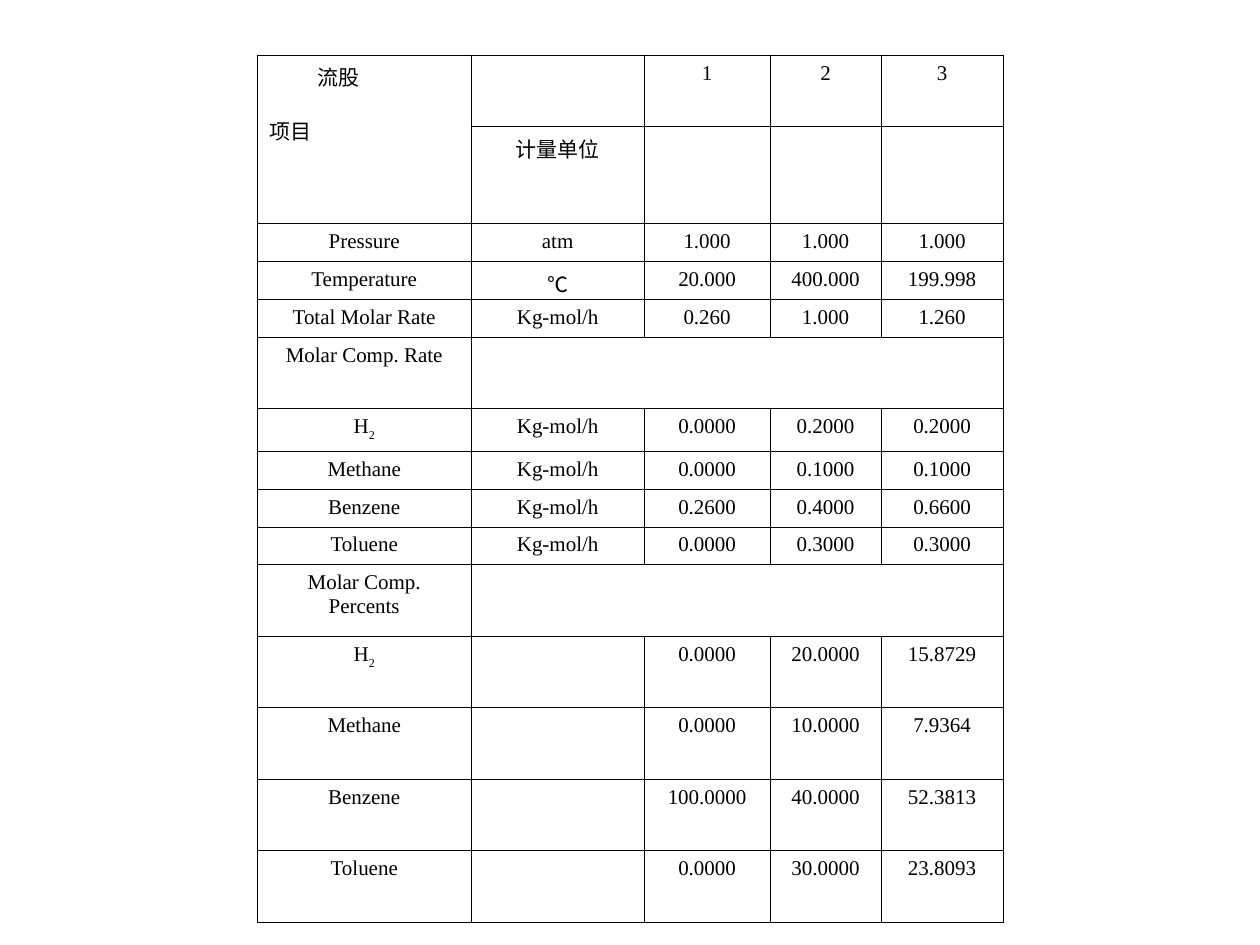
import dataclasses
import typing

import lxml.etree
import pptx
import pptx.dml.color
import pptx.enum.text
import pptx.oxml.ns
import pptx.util

Pt = pptx.util.Pt
BLACK = pptx.dml.color.RGBColor(0x00, 0x00, 0x00)
LATIN = "Times New Roman"
ASIAN = "Noto Sans CJK SC"
ALIGN = pptx.enum.text.PP_ALIGN

# Table grid, in points
LEFT, TOP = 147, 31.5
WIDTHS = (122.3, 98.8, 72, 63.4, 69.8)
TALL, SHORT = 40.85, 21.6
LINE = 0.45


@dataclasses.dataclass(frozen=True)
class Row:
    height: float
    cells: typing.Tuple[str, ...]


# A "_" marks the digit after it as a subscript
RATE = "Kg-mol/h"
ROWS = (
    Row(TALL, ("", "", "1", "2", "3")),
    Row(50.3, ("", "计量单位", "", "", "")),
    Row(SHORT, ("Pressure", "atm", "1.000", "1.000", "1.000")),
    Row(SHORT, ("Temperature", "℃", "20.000", "400.000", "199.998")),
    Row(SHORT, ("Total Molar Rate", RATE, "0.260", "1.000", "1.260")),
    Row(TALL, ("Molar Comp. Rate",)),
    Row(24.4, ("H_2", RATE, "0.0000", "0.2000", "0.2000")),
    Row(SHORT, ("Methane", RATE, "0.0000", "0.1000", "0.1000")),
    Row(SHORT, ("Benzene", RATE, "0.2600", "0.4000", "0.6600")),
    Row(SHORT, ("Toluene", RATE, "0.0000", "0.3000", "0.3000")),
    Row(TALL, ("Molar Comp. Percents",)),
    Row(TALL, ("H_2", "", "0.0000", "20.0000", "15.8729")),
    Row(TALL, ("Methane", "", "0.0000", "10.0000", "7.9364")),
    Row(TALL, ("Benzene", "", "100.0000", "40.0000", "52.3813")),
    Row(TALL, ("Toluene", "", "0.0000", "30.0000", "23.8093")),
)

FONT = {"name": LATIN, "size": Pt(12), "bold": False}
INSETS = {"margin_left": Pt(7.2), "margin_right": Pt(7.2),
          "margin_top": Pt(3.6), "margin_bottom": Pt(3.6)}
PLAIN = {"first_row": False, "horz_banding": False}


def apply(target: typing.Any, values: typing.Dict[str, typing.Any]) -> None:
    for name, value in values.items():
        setattr(target, name, value)


def add_node(parent: typing.Any, tag: str, **values: str) -> typing.Any:
    return lxml.etree.SubElement(parent, pptx.oxml.ns.qn(tag), values)


def add_run(para: typing.Any, text: str, sub: bool = False) -> None:
    run = para.add_run()
    run.text = text
    apply(run.font, FONT)
    run.font.color.rgb = BLACK
    if text == "℃":
        run.font.name = ASIAN
    props = run.font._element
    add_node(props, "a:ea", typeface=ASIAN)
    if sub:
        props.set("baseline", "-30000")


def write(para: typing.Any, text: str) -> None:
    para.alignment = ALIGN.CENTER
    base, _, sub = text.partition("_")
    add_run(para, base)
    if sub:
        add_run(para, sub, sub=True)


def frame(cell: typing.Any) -> None:
    apply(cell, INSETS)
    props = cell._tc.get_or_add_tcPr()
    for side in ("a:lnL", "a:lnR", "a:lnT", "a:lnB"):
        line = add_node(props, side, w=str(int(Pt(LINE))))
        fill = add_node(line, "a:solidFill")
        add_node(fill, "a:srgbClr", val=str(BLACK))
    cell.fill.background()


def write_head(cell: typing.Any) -> None:
    first = cell.text_frame.paragraphs[0]
    first._p.get_or_add_pPr().set("marL", str(int(Pt(27))))
    add_run(first, "流股")
    second = cell.text_frame.add_paragraph()
    second.space_before = Pt(13.5)
    add_run(second, "项目")


def draw_table(slide: typing.Any) -> None:
    shape = slide.shapes.add_table(
        len(ROWS), len(WIDTHS), Pt(LEFT), Pt(TOP),
        Pt(sum(WIDTHS)), Pt(sum(row.height for row in ROWS)))
    table = shape.table
    apply(table, PLAIN)
    for col, width in zip(table.columns, WIDTHS):
        col.width = Pt(width)

    # Borders and text
    for i, row in enumerate(ROWS):
        table.rows[i].height = Pt(row.height)
        for j in range(len(WIDTHS)):
            frame(table.cell(i, j))
        for j, text in enumerate(row.cells):
            cell = table.cell(i, j)
            if text:
                write(cell.text_frame.paragraphs[0], text)
            if text == "℃":
                cell.margin_bottom = Pt(0)

        # Group rows span all columns after the label
        if len(row.cells) == 1:
            table.cell(i, 1).merge(table.cell(i, len(WIDTHS) - 1))

    # Corner heading
    table.cell(0, 0).merge(table.cell(1, 0))
    write_head(table.cell(0, 0))


def main() -> None:
    deck = pptx.Presentation()
    apply(deck, {"slide_width": Pt(720), "slide_height": Pt(540)})
    slide = deck.slides.add_slide(deck.slide_layouts[6])
    draw_table(slide)
    deck.save("out.pptx")


if __name__ == "__main__":
    main()
